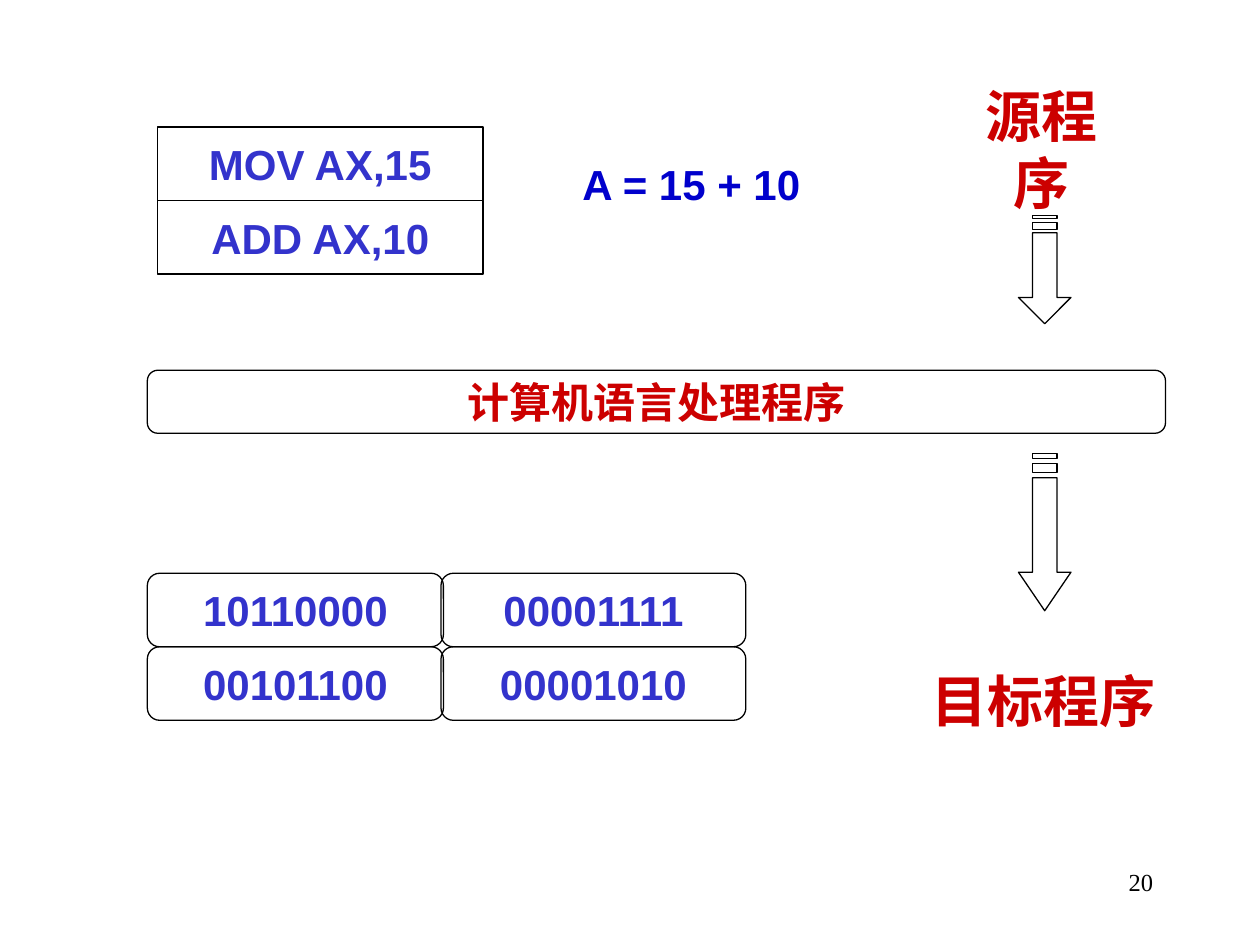
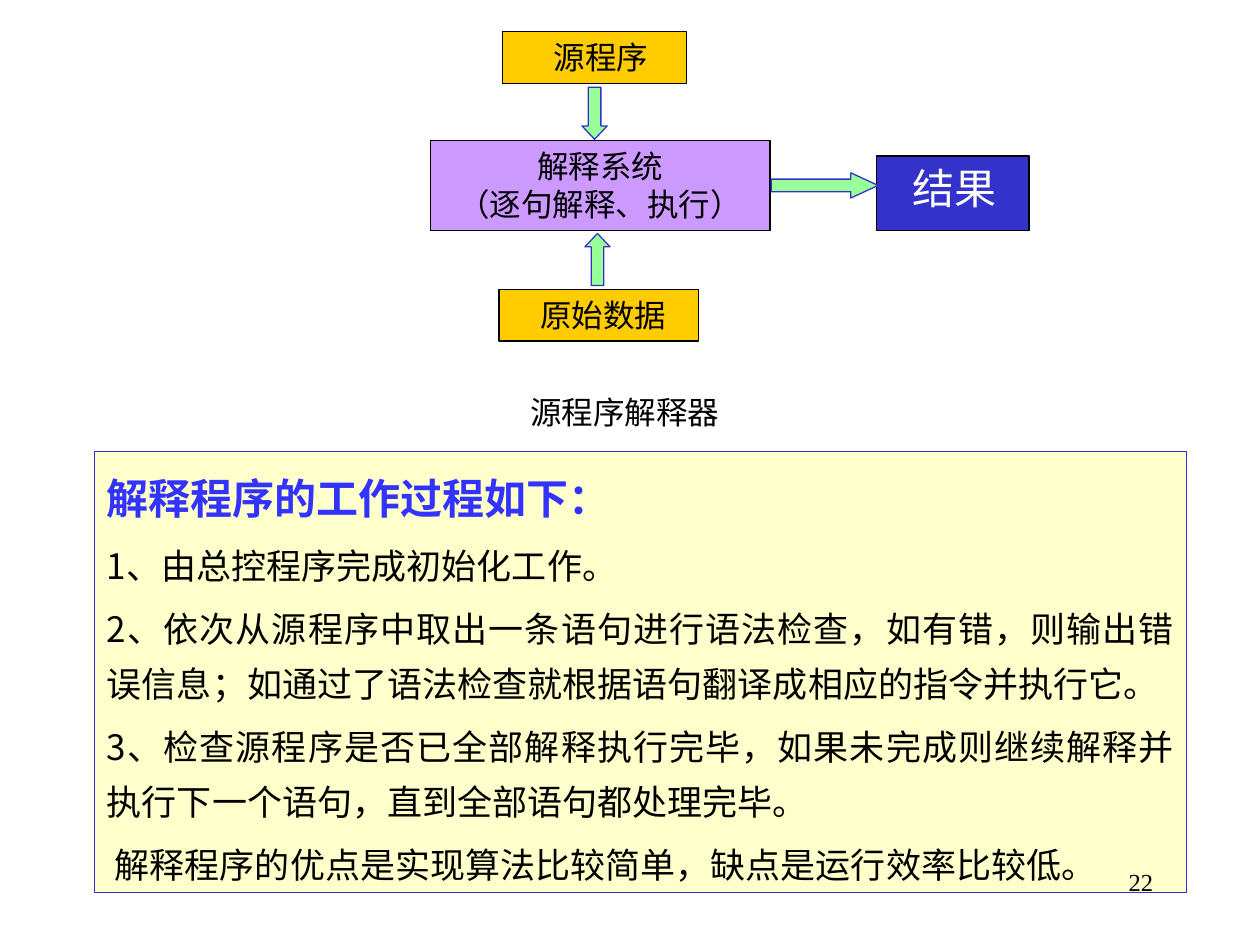
from lxml import etree
from pptx import Presentation
from pptx.dml.color import RGBColor
from pptx.enum.shapes import MSO_SHAPE
from pptx.enum.text import MSO_ANCHOR, PP_ALIGN
from pptx.oxml.ns import qn
from pptx.util import Pt

RECT, ROUND = MSO_SHAPE.RECTANGLE, MSO_SHAPE.ROUNDED_RECTANGLE
DOWN, RIGHT_ARROW = MSO_SHAPE.DOWN_ARROW, MSO_SHAPE.RIGHT_ARROW
TOP, MIDDLE = MSO_ANCHOR.TOP, MSO_ANCHOR.MIDDLE
CENTER, RIGHT, JUSTIFY = PP_ALIGN.CENTER, PP_ALIGN.RIGHT, PP_ALIGN.JUSTIFY

LATIN, CJK, SERIF = "Arial", "Noto Sans CJK SC", "Times New Roman"
COLORS = {
    "black": "000000", "white": "FFFFFF", "blue": "3333CC", "formula": "0000CC",
    "heading": "3333FF", "red": "CC0000", "orange": "FFCC00", "violet": "CC99FF",
    "green": "99FF99", "cream": "FFFFCC",
}


def rgb(name):
    return RGBColor.from_string(COLORS[name])


class Deck:
    def __init__(self):
        self.prs = Presentation()
        self.prs.slide_width, self.prs.slide_height = Pt(720), Pt(540)
        self.s = None

    def slide(self, number):
        self.s = self.prs.slides.add_slide(self.prs.slide_layouts[6])
        self.number = number

    def page_number(self):
        self.label(516, 492, 150, 36, str(self.number), 14, "black", SERIF,
                   bold=False, align=RIGHT, wrap=True)

    def paint(self, sp, fill, line):
        sp.shadow.inherit = False
        if fill:
            sp.fill.solid()
            sp.fill.fore_color.rgb = rgb(fill)
        else:
            sp.fill.background()
        if line:
            sp.line.color.rgb = rgb(line)
            sp.line.width = Pt(0.75)
        else:
            sp.line.fill.background()

    def style(self, p, size, color, font, bold=False, align=CENTER):
        p.alignment = align
        f = p.font
        f.size, f.bold, f.name = Pt(size), bold, font
        f.color.rgb = rgb(color)
        ea = etree.SubElement(p._p.pPr.find(qn("a:defRPr")), qn("a:ea"))
        ea.set("typeface", CJK)

    def set_text(self, sp, text, size, color, font, bold=False, align=CENTER,
                 anchor=TOP, wrap=True, left=7.2, right=7.2):
        tf = sp.text_frame
        tf.word_wrap, tf.vertical_anchor = wrap, anchor
        tf.margin_left, tf.margin_right = Pt(left), Pt(right)
        tf.margin_top = tf.margin_bottom = Pt(3.6)
        tf.text = text
        for p in tf.paragraphs:
            self.style(p, size, color, font, bold, align)

    def label(self, x, y, w, h, text, size, color, font=LATIN, bold=True,
              align=CENTER, wrap=False, right=7.2):
        sp = self.s.shapes.add_textbox(Pt(x), Pt(y), Pt(w), Pt(h))
        self.set_text(sp, text, size, color, font, bold, align, wrap=wrap, right=right)

    def shape(self, kind, x, y, w, h, fill=None, line="black"):
        sp = self.s.shapes.add_shape(kind, Pt(x), Pt(y), Pt(w), Pt(h))
        self.paint(sp, fill, line)
        return sp

    def cell(self, kind, x, y, w, h, text, color="blue"):
        """Outlined box with bold text in its middle."""
        sp = self.shape(kind, x, y, w, h)
        self.set_text(sp, text, 24, color, LATIN, True, anchor=MIDDLE, wrap=False)

    def box(self, x, y, w, h, text, fill, size=18, color="black", line="black", left=7.2):
        sp = self.shape(RECT, x, y, w, h, fill, line)
        self.set_text(sp, text, size, color, CJK, left=left)

    def arrow(self, kind, x, y, w, h, head, turn=0):
        sp = self.shape(kind, x, y, w, h, "green", "blue")
        sp.adjustments[1] = head
        sp.rotation = turn

    def striped_arrow(self, x, y, w, h):
        """Downward arrow whose tail breaks into two stripes."""
        inner, outer = x + w / 4, x + w * 3 / 4
        neck, start = y + h * 3 / 4, y + h * 5 / 32
        fb = self.s.shapes.build_freeform(outer, start, scale=12700.0)
        fb.add_line_segments([(outer, neck), (x + w, neck), (x + w / 2, y + h),
                              (x, neck), (inner, neck), (inner, start)])
        for top, bottom in ((0, 1 / 32), (1 / 16, 1 / 8)):
            t, b = y + h * top, y + h * bottom
            fb.move_to(outer, t)
            fb.add_line_segments([(outer, b), (inner, b), (inner, t)])
        self.paint(fb.convert_to_shape(), None, "black")

    def panel(self, x, y, w, h, heading, items, closing):
        sp = self.shape(RECT, x, y, w, h, "cream", "blue")
        self.set_text(sp, "\n".join([heading, *items, closing]), 20, "black", CJK,
                      align=JUSTIFY)
        first, *rest = sp.text_frame.paragraphs
        first.font.size, first.font.bold, first.font.name = Pt(24), True, SERIF
        first.font.color.rgb = rgb("heading")
        first.line_spacing = 1.3
        for p in rest:
            p.line_spacing, p.space_before = 1.3, Pt(5)
        rest[-1]._p.pPr.set("indent", str(Pt(4.5)))


def translation_slide(d):
    d.slide(20)
    row = 42
    for i, code in enumerate(("MOV AX,15", "ADD AX,10")):
        d.cell(RECT, 90, 72.6 + i * row, 186, row, code)
    d.label(324, 87, 162, 36, "A = 15 + 10", 24, "formula", right=27)
    d.cell(ROUND, 84.2, 211.6, 581.8, 36, "计算机语言处理程序", "red")
    d.label(540, 43, 110, 46, "源程序", 32, "red")
    words = (("10110000", "00001111"), ("00101100", "00001010"))
    for i, pair in enumerate(words):
        for text, x, w in zip(pair, (84.2, 252), (169.2, 174.2)):
            d.cell(ROUND, x, 327.6 + i * row, w, row, text)
    d.label(525, 377.5, 142.5, 46, "目标程序", 32, "red")
    for y, h in ((123, 62), (259, 90.4)):
        d.striped_arrow(582, y, 30, h)
    d.page_number()


def interpreter_slide(d):
    d.slide(22)
    d.box(287, 18, 105.2, 29.6, "源程序", "orange", left=14.8)
    d.box(246, 80.3, 194, 51.4, "解释系统\n（逐句解释、执行）", "violet")
    d.box(500.8, 89.2, 87.2, 42.4, "结果", "blue", 24, "white", left=9.2)
    d.arrow(DOWN, 332.6, 49.8, 14.4, 29.8, 0.53)
    d.arrow(RIGHT_ARROW, 440.8, 98.8, 61, 14.4, 1.08)
    d.box(288, 221, 138, 34.6, "源程序解释器", "white", line=None)
    d.box(285.2, 165.4, 114, 29.6, "原始数据", "orange", left=12.4)
    d.arrow(DOWN, 334.2, 133.4, 14.4, 29.8, 0.53, turn=180)
    d.panel(54, 258, 624, 252, "解释程序的工作过程如下：", [
        "1、由总控程序完成初始化工作。",
        "2、依次从源程序中取出一条语句进行语法检查，如有错，则输出错误信息；"
        "如通过了语法检查就根据语句翻译成相应的指令并执行它。",
        "3、检查源程序是否已全部解释执行完毕，如果未完成则继续解释并执行下一个语句，"
        "直到全部语句都处理完毕。",
    ], "解释程序的优点是实现算法比较简单，缺点是运行效率比较低。")
    d.page_number()


def main():
    d = Deck()
    translation_slide(d)
    interpreter_slide(d)
    d.prs.save("out.pptx")


if __name__ == "__main__":
    main()
